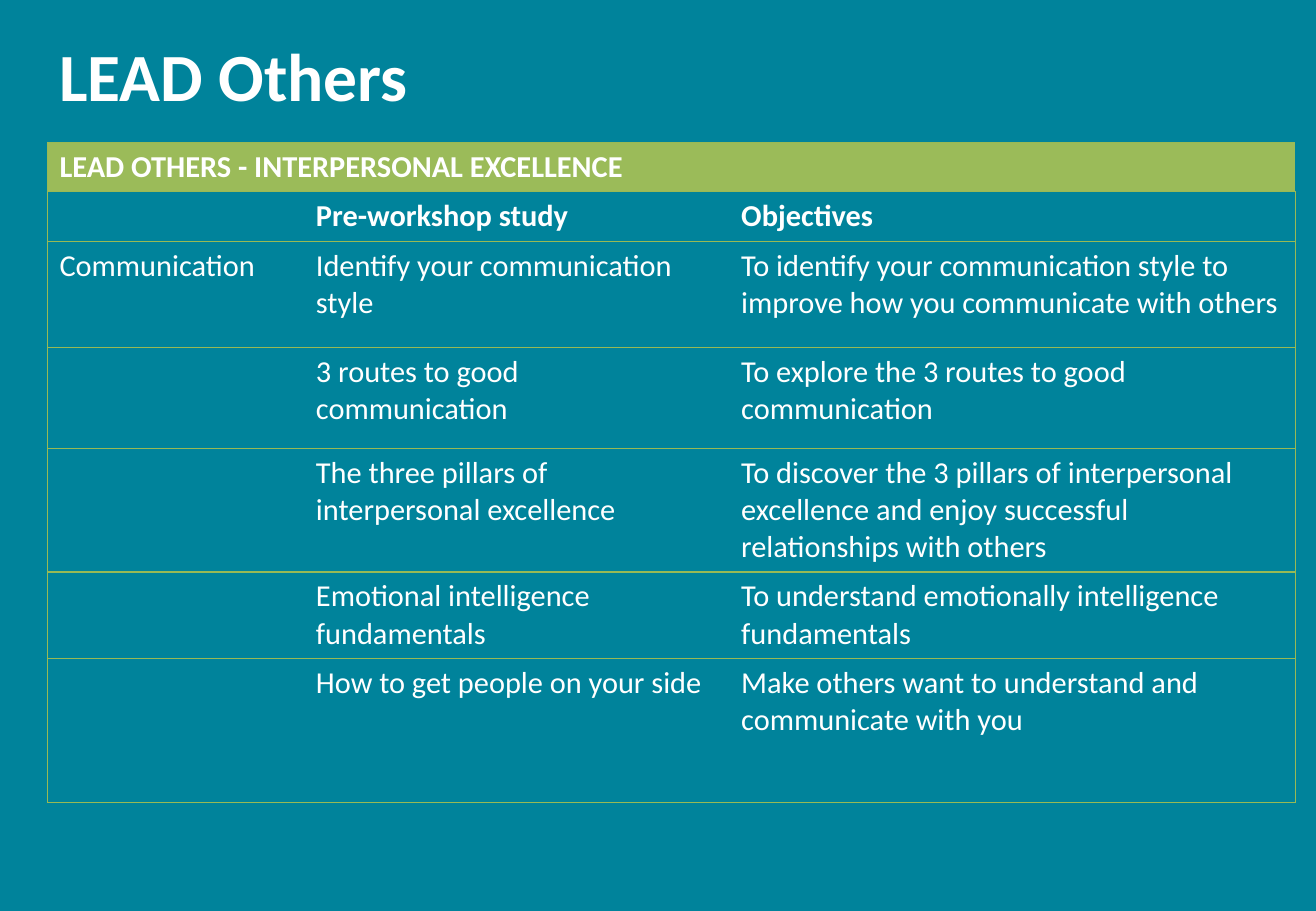
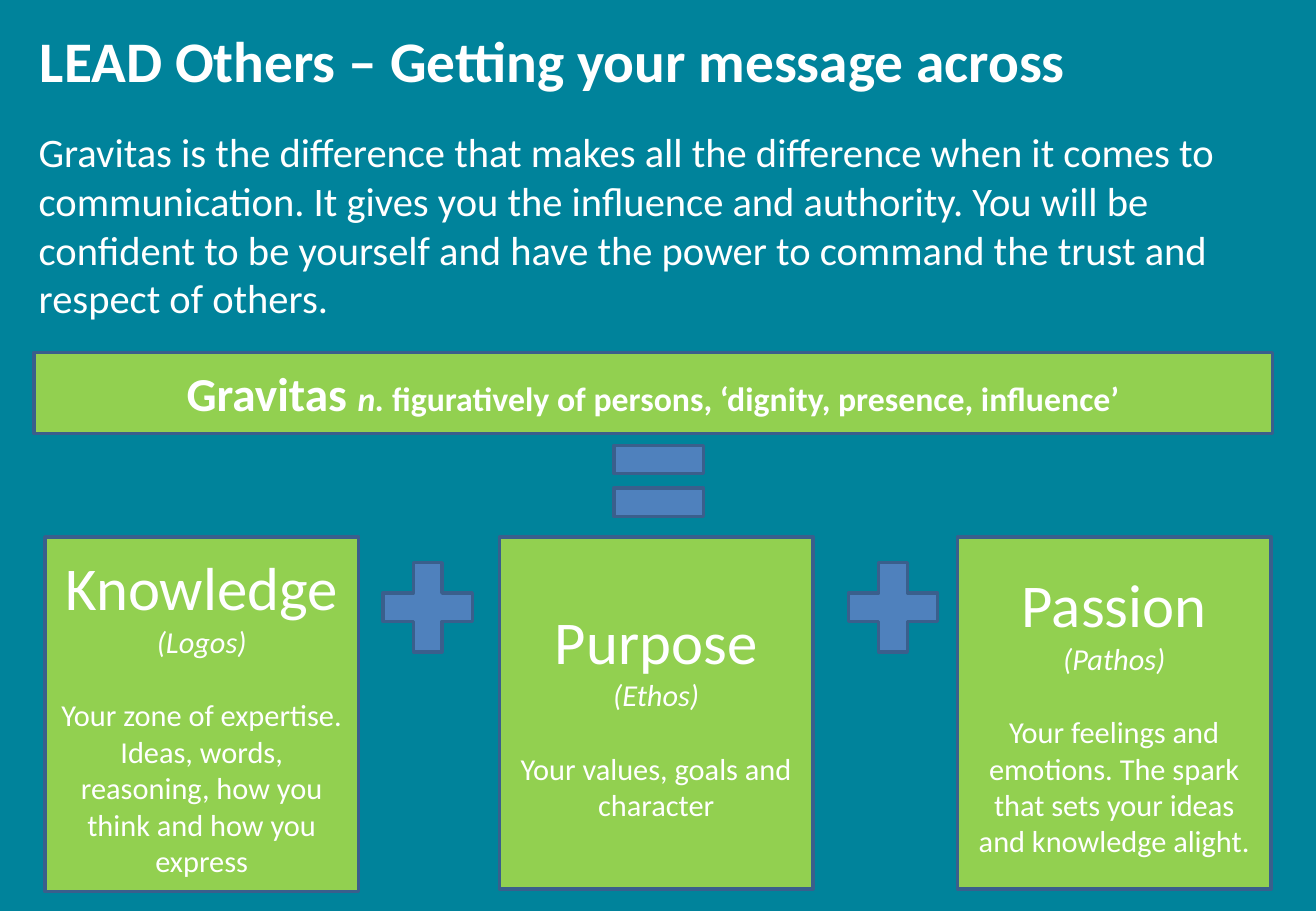
from lxml import etree
from pptx import Presentation
from pptx.dml.color import RGBColor
from pptx.enum.shapes import MSO_SHAPE
from pptx.enum.text import MSO_ANCHOR, PP_ALIGN
from pptx.oxml.ns import qn
from pptx.util import Inches, Pt

RECT, PLUS, EQUAL = MSO_SHAPE.RECTANGLE, MSO_SHAPE.MATH_PLUS, MSO_SHAPE.MATH_EQUAL
TOP, MIDDLE = MSO_ANCHOR.TOP, MSO_ANCHOR.MIDDLE
LEFT, CENTER = PP_ALIGN.LEFT, PP_ALIGN.CENTER

TEAL, WHITE, LIME, BLUE = "00839B", "FFFFFF", "92D050", "4F81BD"
OUTLINE, HEADER_GREEN, RULE_GREEN = "3A5F8C", "9BBB59", "98B955"
PLAIN_GRID = "{2D5ABB26-0587-4C30-8999-92F81FD0307C}"

BODY = {"name": "Calibri", "size": Pt(18), "bold": False, "italic": False}
STRONG = {**BODY, "bold": True}
ASIDE = {**BODY, "italic": True}
INTRO = {**BODY, "size": Pt(24)}
CARD_HEAD = {**BODY, "size": Pt(36)}
TERM = {**STRONG, "size": Pt(28)}
MEANING = {**STRONG, "size": Pt(20)}

COLUMNS = (2.11, 3.5, 4.66)
ROW_HEIGHTS = (0.41, 0.41, 0.87, 0.83, 1.02, 0.71, 1.19)
WORKSHOP = (
    ("LEAD OTHERS - INTERPERSONAL EXCELLENCE", "", ""),
    ("", "Pre-workshop study", "Objectives"),
    ("Communication", "Identify your communication style",
     "To identify your communication style to improve how you communicate with others"),
    ("", "3 routes to good communication", "To explore the 3 routes to good communication"),
    ("", "The three pillars of interpersonal excellence",
     "To discover the 3 pillars of interpersonal excellence and enjoy successful "
     "relationships with others"),
    ("", "Emotional intelligence fundamentals",
     "To understand emotionally intelligence fundamentals"),
    ("", "How to get people on your side",
     "Make others want to understand and communicate with you"),
)
GRAVITAS = (
    "Gravitas is the difference that makes all the difference when it comes to "
    "communication. It gives you the influence and authority. You will be confident to be "
    "yourself and have the power to command the trust and respect of others."
)
CARDS = (
    (0.37, 2.92, "Knowledge", "(Logos)",
     "Your zone of expertise. Ideas, words, reasoning, how you think and how you express"),
    (4.11, 2.9, "Purpose", "(Ethos)", "Your values, goals and character"),
    (7.88, 2.9, "Passion", "(Pathos)",
     "Your feelings and emotions. The spark that sets your ideas and knowledge alight."),
)
OPERATORS = ((PLUS, 3.02, 4.5), (PLUS, 6.85, 4.5), (EQUAL, 4.92, 3.46))


def color(value):
    """Return the colour for a hex string."""
    return RGBColor.from_string(value)


def write(paragraph, runs, align=LEFT):
    """Fill a paragraph with (text, format) runs in white."""
    paragraph.alignment = align
    for text, style in runs:
        run = paragraph.add_run()
        run.text = text
        for attribute, value in style.items():
            setattr(run.font, attribute, value)
        run.font.color.rgb = color(WHITE)


def add_text(slide, box, text, style, anchor=TOP):
    """Add a wrapped text box holding one paragraph."""
    frame = slide.shapes.add_textbox(*map(Inches, box)).text_frame
    frame.word_wrap = True
    frame.vertical_anchor = anchor
    write(frame.paragraphs[0], [(text, style)])


def add_title(slide, left, top, width, text, size):
    """Add the bold slide title."""
    add_text(slide, (left, top, width, 0.76), text, {**STRONG, "size": Pt(size)}, MIDDLE)


def add_block(slide, kind, box, fill, lines=()):
    """Add an outlined shape with centred lines and return its paragraphs."""
    block = slide.shapes.add_shape(kind, *map(Inches, box))
    block.shadow.inherit = False
    block.fill.solid()
    block.fill.fore_color.rgb = color(fill)
    block.line.color.rgb = color(OUTLINE)
    block.line.width = Pt(2)
    frame = block.text_frame
    frame.word_wrap = True
    frame.vertical_anchor = MIDDLE
    for index, runs in enumerate(lines):
        paragraph = frame.add_paragraph() if index else frame.paragraphs[0]
        write(paragraph, runs, CENTER)
    return frame.paragraphs


def add_card(slide, left, height, heading, greek, description):
    """Add one green card with heading, Greek term and description."""
    lines = [[(heading, CARD_HEAD)], [(greek, ASIDE)], [(description, BODY)]]
    paragraphs = add_block(slide, RECT, (left, 4.42, 2.58, height), LIME, lines)
    paragraphs[-1].space_before = Pt(22)


def rule_cell(cell, sides):
    """Draw green rules on the given sides of a cell and none on the others."""
    properties = cell._tc.get_or_add_tcPr()
    for side in "LRTB":
        line = etree.SubElement(properties, qn(f"a:ln{side}"), w=str(Pt(0.75)))
        if side in sides:
            fill = etree.SubElement(line, qn("a:solidFill"))
            etree.SubElement(fill, qn("a:srgbClr"), val=RULE_GREEN)
        else:
            etree.SubElement(line, qn("a:noFill"))


def add_workshop_table(slide, left, top):
    """Add the workshop table with a green banner row and horizontal rules."""
    size = Inches(sum(COLUMNS)), Inches(sum(ROW_HEIGHTS))
    table = slide.shapes.add_table(
        len(WORKSHOP), len(COLUMNS), Inches(left), Inches(top), *size).table
    table._tbl.tblPr.find(qn("a:tableStyleId")).text = PLAIN_GRID
    table.first_row = table.horz_banding = False
    for column, width in zip(table.columns, COLUMNS):
        column.width = Inches(width)
    table.cell(0, 0).merge(table.cell(0, len(COLUMNS) - 1))
    for r, texts in enumerate(WORKSHOP):
        table.rows[r].height = Inches(ROW_HEIGHTS[r])
        for c, text in enumerate(texts):
            cell = table.cell(r, c)
            rule_cell(cell, "TB" + {0: "L", len(COLUMNS) - 1: "R"}.get(c, ""))
            if r == 0:
                cell.fill.solid()
                cell.fill.fore_color.rgb = color(HEADER_GREEN)
            else:
                cell.fill.background()
            if text:
                write(cell.text_frame.paragraphs[0], [(text, STRONG if r < 2 else BODY)])


def build_workshop(slide):
    """Build the slide with the workshop table."""
    add_title(slide, 0.39, 0.23, 8.61, "LEAD Others", 40)
    add_workshop_table(slide, 0.39, 1.17)


def build_message(slide):
    """Build the slide that explains gravitas."""
    add_title(slide, 0.23, 0.11, 8.92, "LEAD Others – Getting your message across", 34)
    for card in CARDS:
        add_card(slide, *card)
    for kind, left, top in OPERATORS:
        add_block(slide, kind, (left, top, 1, 1), BLUE)
    add_text(slide, (0.22, 1, 10.45, 1.72), GRAVITAS, INTRO)
    definition = [
        ("Gravitas ", TERM),
        ("n. ", {**MEANING, "italic": True}),
        ("figuratively of persons, ‘dignity, presence, influence’", MEANING),
    ]
    add_block(slide, RECT, (0.28, 2.9, 10.19, 0.67), LIME, [definition])


def main():
    """Build and save the presentation."""
    deck = Presentation()
    deck.slide_width, deck.slide_height = Inches(10.83), Inches(7.5)
    backdrop = deck.slide_master.background.fill
    backdrop.solid()
    backdrop.fore_color.rgb = color(TEAL)
    for build in (build_workshop, build_message):
        build(deck.slides.add_slide(deck.slide_layouts[6]))
    deck.save("out.pptx")


if __name__ == "__main__":
    main()
